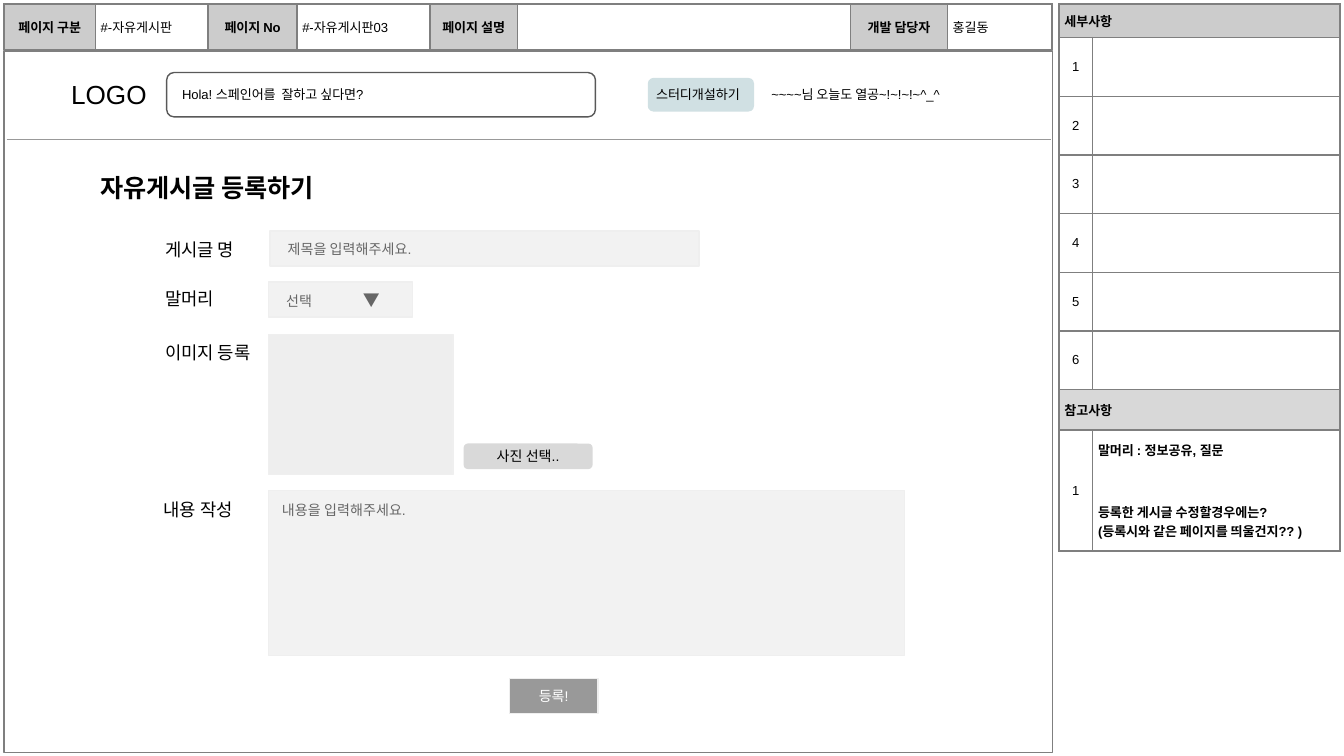
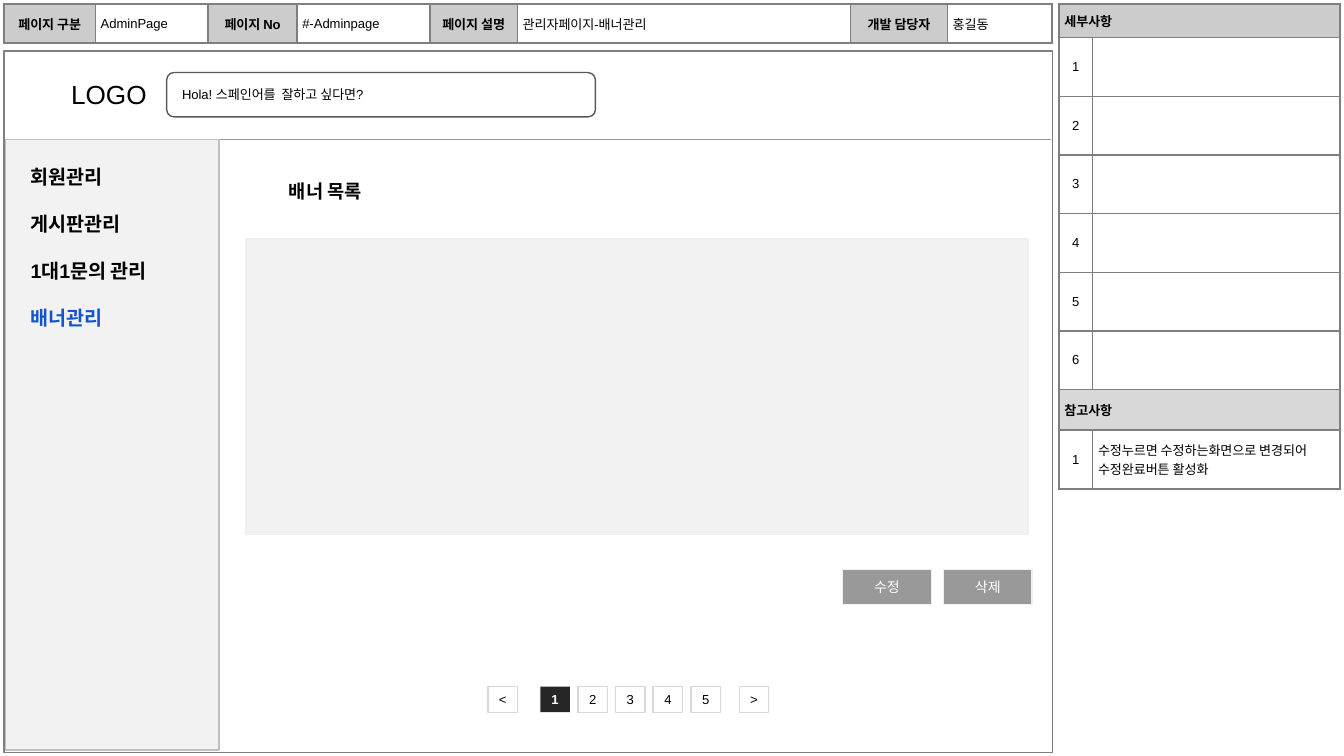
from lxml import etree
from pptx import Presentation
from pptx import util as u
from pptx.dml.color import RGBColor
from pptx.enum import shapes, text
from pptx.oxml import ns

FONT = "Arial"
BLACK = RGBColor(0x00, 0x00, 0x00)
WHITE = RGBColor(0xFF, 0xFF, 0xFF)
FRAME = RGBColor(0x7F, 0x7F, 0x7F)
RULE = RGBColor(0x99, 0x99, 0x99)
OUTLINE = RGBColor(0x59, 0x59, 0x59)
HINT = RGBColor(0x66, 0x66, 0x66)
HEAD = RGBColor(0xCC, 0xCC, 0xCC)
SUBHEAD = RGBColor(0xD8, 0xD8, 0xD8)
FIELD = RGBColor(0xF2, 0xF2, 0xF2)
FIELD_EDGE = RGBColor(0xEF, 0xEF, 0xEF)
IMAGE_BOX = RGBColor(0xEE, 0xEE, 0xEE)
PICK = RGBColor(0xD9, 0xD9, 0xD9)
STUDY = RGBColor(0xD0, 0xE0, 0xE3)
MENU_EDGE = RGBColor(0xBF, 0xBF, 0xBF)
CURRENT = RGBColor(0x26, 0x26, 0x26)
LINK = RGBColor(0x11, 0x55, 0xCC)

RECT = shapes.MSO_SHAPE.RECTANGLE
ROUND = shapes.MSO_SHAPE.ROUNDED_RECTANGLE
LEFT, CENTER = text.PP_ALIGN.LEFT, text.PP_ALIGN.CENTER
TOP, MIDDLE = text.MSO_ANCHOR.TOP, text.MSO_ANCHOR.MIDDLE

HEADINGS = ["페이지 구분", "페이지 No", "페이지 설명", "개발 담당자"]
HEADER_COLUMNS = [0.68, 0.84, 0.66, 0.99, 0.65, 2.48, 0.72, 0.78]
DETAIL_COLUMNS = [0.25, 1.84]
DETAIL_COUNT = 6
DETAIL_ROW = 2.62 / DETAIL_COUNT

POST_PAGE = {
    "values": ["#-자유게시판", "#-자유게시판03", "", "홍길동"],
    "header_height": 0.34,
    "notes": ["말머리 : 정보공유, 질문", "등록한 게시글 수정할경우에는?",
              "(등록시와 같은 페이지를 띄울건지?? )"],
    "notes_height": 0.9,
    "notes_bold": True,
    "title": "자유게시글 등록하기",
    "title_box": (0.65, 1.18, 2.09, 0.55),
    "title_size": 13.5,
}
BANNER_PAGE = {
    "values": ["AdminPage", "#-Adminpage", "관리자페이지-배너관리", "홍길동"],
    "header_height": 0.29,
    "notes": ["수정누르면 수정하는화면으로 변경되어 수정완료버튼 활성화"],
    "notes_height": DETAIL_ROW,
    "notes_bold": False,
    "title": "배너 목록",
    "title_box": (2.05, 1.24, 1.59, 0.23),
    "title_size": 10,
}
FORM_LABELS = [("게시글 명", 1.13, 1.68), ("말머리", 1.13, 2.04),
               ("이미지 등록", 1.13, 2.44), ("내용 작성", 1.12, 3.61)]
FORM_FIELDS = [  # hint, box, left inset, anchor, fill
    ("제목을 입력해주세요.", (2.01, 1.72, 3.19, 0.26), 0.13, MIDDLE, FIELD),
    ("", (2, 2.49, 1.37, 1.04), 0.1, MIDDLE, IMAGE_BOX),
    ("내용을 입력해주세요.", (2, 3.65, 4.73, 1.23), 0.1, TOP, FIELD),
]
MENU = ["회원관리", "게시판관리", "1대1문의 관리", "배너관리"]
BANNER_BUTTONS = ["수정", "삭제"]
PAGES = ["1", "2", "3", "4", "5"]


def inches(box):
    return [u.Inches(length) for length in box]


def write(frame, lines, size, color=BLACK, bold=False, align=LEFT,
          anchor=TOP, insets=(0.1, 0.1), gaps=()):
    """Fill a text frame; gaps are the points of space after each line."""
    frame.word_wrap = True
    frame.auto_size = text.MSO_AUTO_SIZE.NONE
    frame.vertical_anchor = anchor
    frame.margin_left = frame.margin_right = u.Inches(insets[0])
    frame.margin_top = frame.margin_bottom = u.Inches(insets[1])
    frame.text = "\n".join(lines)
    for paragraph in frame.paragraphs:
        style(paragraph, size, color, bold, align)
    for paragraph, gap in zip(frame.paragraphs, gaps):
        paragraph.space_after = u.Pt(gap)


def style(paragraph, size, color, bold, align):
    paragraph.alignment = align
    for run in paragraph.runs:
        run.font.name = FONT
        run.font.size = u.Pt(size)
        run.font.bold = bold
        run.font.color.rgb = color


def add_label(slide, words, box, size, **options):
    label = slide.shapes.add_textbox(*inches(box))
    write(label.text_frame, [words], size, **options)


def add_box(slide, box, fill=None, line=None, kind=RECT, words="", size=7.5, **options):
    shape = slide.shapes.add_shape(kind, *inches(box))
    shape.shadow.inherit = False
    if fill is None:
        shape.fill.background()
    else:
        shape.fill.solid()
        shape.fill.fore_color.rgb = fill
    if line is None:
        shape.line.fill.background()
    else:
        shape.line.color.rgb = line
        shape.line.width = u.Pt(0.75)
    if words:
        write(shape.text_frame, [words], size, **{"anchor": MIDDLE, **options})
    return shape


def add_button(slide, words, left, top):
    add_box(slide, (left, top, 0.66, 0.26), RULE, FIELD_EDGE,
            words=words, color=WHITE, align=CENTER)


def add_dropdown(slide):
    """Add the choice field, its arrow set on a tab stop."""
    field = add_box(slide, (2, 2.1, 1.07, 0.26), FIELD, FIELD_EDGE, words="선택 ",
                    color=HINT, insets=(0.13, 0.05))
    paragraph = field.text_frame.paragraphs[0]
    arrow = paragraph.add_run()
    arrow.text = "\t▼"
    style(paragraph, 7.5, HINT, False, LEFT)
    arrow.font.size = u.Pt(9)
    stops = etree.SubElement(paragraph._p.get_or_add_pPr(), ns.qn("a:tabLst"))
    etree.SubElement(stops, ns.qn("a:tab"), pos=str(u.Inches(0.57)), algn="l")


def format_cell(cell, lines, fill=None, bold=False, align=LEFT, inset=0.03, gaps=()):
    properties = cell._tc.get_or_add_tcPr()
    for side in ("a:lnL", "a:lnR", "a:lnT", "a:lnB"):
        border = etree.SubElement(properties, ns.qn(side), w=str(u.Pt(1)))
        solid = etree.SubElement(border, ns.qn("a:solidFill"))
        etree.SubElement(solid, ns.qn("a:srgbClr"), val=str(FRAME))
    if fill is None:
        cell.fill.background()
    else:
        cell.fill.solid()
        cell.fill.fore_color.rgb = fill
    cell.vertical_anchor = MIDDLE
    cell.margin_left = cell.margin_right = u.Inches(0.04)
    cell.margin_top = cell.margin_bottom = u.Inches(inset)
    cell.text = "\n".join(lines)
    for paragraph in cell.text_frame.paragraphs:
        style(paragraph, 7, BLACK, bold, align)
        if not paragraph.runs:
            etree.SubElement(paragraph._p, ns.qn("a:endParaRPr"), sz="700")
    for paragraph, gap in zip(cell.text_frame.paragraphs, gaps):
        paragraph.space_after = u.Pt(gap)


def add_grid(slide, left, top, columns, rows):
    frame = slide.shapes.add_table(len(rows), len(columns),
                                   *inches((left, top, sum(columns), sum(rows))))
    table = frame.table
    table.first_row = table.horz_banding = False
    for column, width in zip(table.columns, columns):
        column.width = u.Inches(width)
    for row, height in zip(table.rows, rows):
        row.height = u.Inches(height)
    return table


def add_header(slide, page):
    table = add_grid(slide, 0.03, 0.03, HEADER_COLUMNS, [page["header_height"]])
    for index, (heading, value) in enumerate(zip(HEADINGS, page["values"])):
        format_cell(table.cell(0, 2 * index), [heading], HEAD, True, CENTER)
        format_cell(table.cell(0, 2 * index + 1), [value])


def add_details(slide, page):
    rows = [0.25] + [DETAIL_ROW] * DETAIL_COUNT + [0.3, page["notes_height"]]
    table = add_grid(slide, 7.88, 0.03, DETAIL_COLUMNS, rows)
    notes_head = DETAIL_COUNT + 1
    for row, words, fill, inset in ((0, "세부사항", HEAD, 0.03),
                                    (notes_head, "참고사항", SUBHEAD, 0.08)):
        format_cell(table.cell(row, 0), [words], fill, True, inset=inset)
        format_cell(table.cell(row, 1), [""], fill, inset=inset)
        table.cell(row, 0).merge(table.cell(row, 1))
    for number in range(1, DETAIL_COUNT + 1):
        format_cell(table.cell(number, 0), [str(number)], align=CENTER, inset=0.08)
        format_cell(table.cell(number, 1), [""], inset=0.08)
    format_cell(table.cell(notes_head + 1, 0), ["1"], align=CENTER, inset=0.08)
    gaps = [23] if len(page["notes"]) > 1 else []
    format_cell(table.cell(notes_head + 1, 1), page["notes"],
                bold=page["notes_bold"], inset=0.08, gaps=gaps)


def add_page(presentation, page):
    """Add a slide with the frame, tables, title and search bar that all share."""
    slide = presentation.slides.add_slide(presentation.slide_layouts[5])
    title = slide.shapes.title
    title.left, title.top, title.width, title.height = inches(page["title_box"])
    write(title.text_frame, [page["title"]], page["title_size"], bold=True)
    add_box(slide, (0.03, 0.38, 7.8, 5.22), line=FRAME)
    rule = slide.shapes.add_connector(shapes.MSO_CONNECTOR.STRAIGHT,
                                      *inches((0.05, 1.04, 7.82, 1.04)))
    rule.line.color.rgb = RULE
    rule.line.width = u.Pt(0.75)
    etree.SubElement(rule._element.spPr, ns.qn("a:effectLst"))
    add_header(slide, page)
    add_details(slide, page)
    add_label(slide, "LOGO", (0.43, 0.48, 5.29, 0.62), 14)
    add_box(slide, (1.24, 0.54, 3.19, 0.33), line=OUTLINE, kind=ROUND,
            words="Hola! 스페인어를  잘하고 싶다면?", size=7)
    return slide


def build_post_form(presentation):
    slide = add_page(presentation, POST_PAGE)
    add_box(slide, (4.82, 0.58, 0.79, 0.25), STUDY, kind=ROUND,
            words="스터디개설하기", size=7, insets=(0.05, 0))
    add_label(slide, "~~~~님 오늘도 열공~!~!~!~^_^", (5.64, 0.54, 1.72, 0.38), 7)
    for words, left, top in FORM_LABELS:
        add_label(slide, words, (left, top, 0.87, 0.29), 9.5)
    for hint, box, inset, anchor, fill in FORM_FIELDS:
        add_box(slide, box, fill, FIELD_EDGE, words=hint, color=HINT,
                anchor=anchor, insets=(inset, 0.08))
    add_dropdown(slide)
    add_box(slide, (3.45, 3.3, 0.96, 0.19), PICK, kind=ROUND,
            words="사진 선택..", align=CENTER, insets=(0, 0))
    add_button(slide, "등록!", 3.79, 5.05)


def build_banner_list(presentation):
    slide = add_page(presentation, BANNER_PAGE)
    add_box(slide, (0.04, 1.04, 1.59, 4.54), FIELD, MENU_EDGE)
    menu = slide.shapes.add_textbox(*inches((0.13, 1.13, 1.49, 2.36)))
    write(menu.text_frame, MENU, 10.5, bold=True, gaps=[12.5] * len(MENU))
    menu.text_frame.paragraphs[-1].runs[0].font.color.rgb = LINK
    add_box(slide, (1.83, 1.78, 5.82, 2.2), FIELD, FIELD_EDGE)
    for index, words in enumerate(BANNER_BUTTONS):
        add_button(slide, words, 6.27 + 0.75 * index, 4.24)
    pager = [(page, 4.02 + 0.28 * index) for index, page in enumerate(PAGES)]
    for words, left in [("<", 3.63), *pager, (">", 5.5)]:
        current = words == PAGES[0]
        add_box(slide, (left, 5.11, 0.22, 0.19), CURRENT if current else WHITE,
                None if current else SUBHEAD, words=words, size=7,
                color=WHITE if current else BLACK, bold=current,
                align=CENTER, insets=(0.04, 0.05))


def main():
    presentation = Presentation()
    presentation.slide_width = u.Inches(10)
    presentation.slide_height = u.Inches(10) * 9 // 16
    build_post_form(presentation)
    build_banner_list(presentation)
    presentation.save("out.pptx")


if __name__ == "__main__":
    main()
